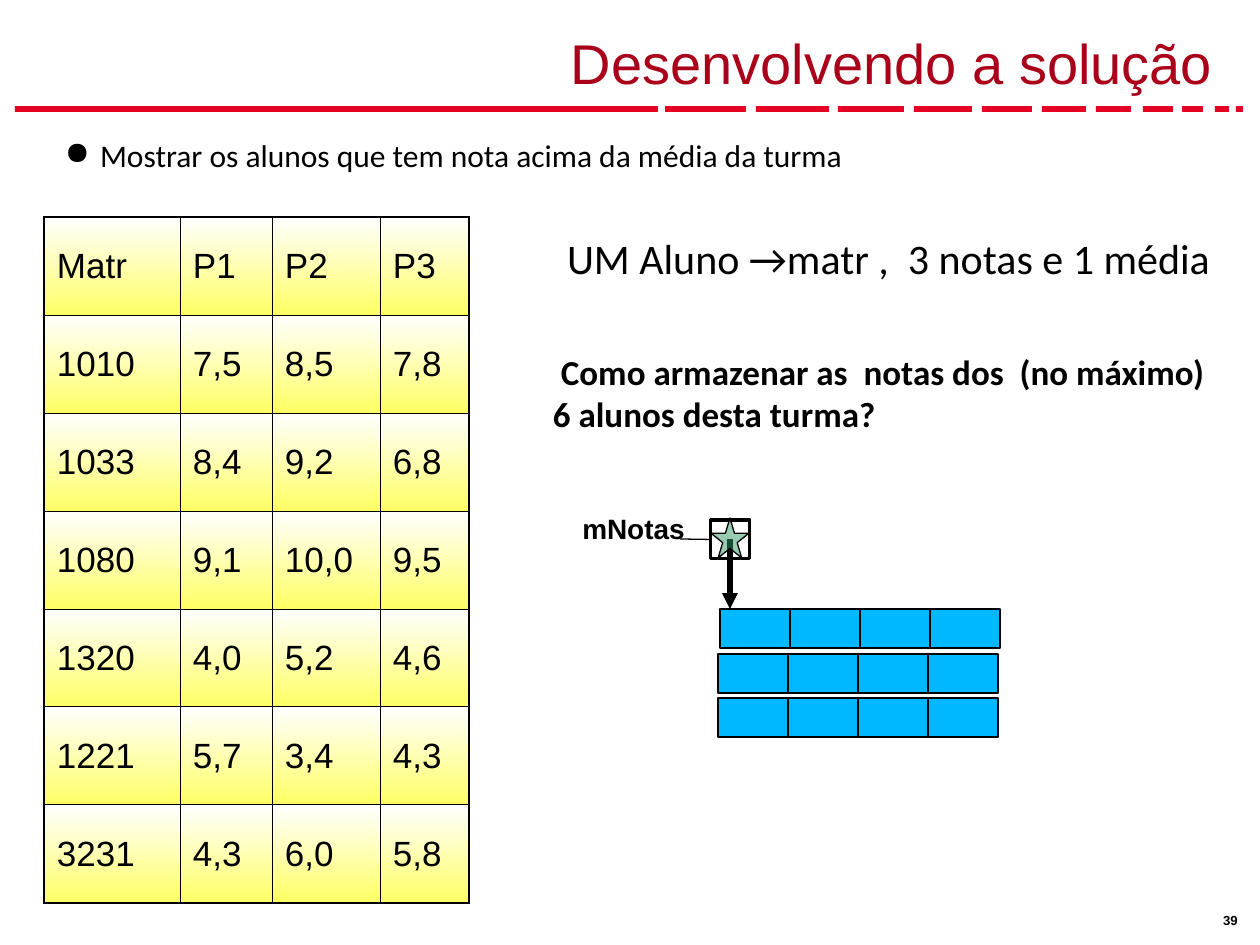
from lxml.etree import SubElement as Sub
from pptx import Presentation
from pptx.dml.color import RGBColor as Rgb
from pptx.enum.shapes import MSO_CONNECTOR as Link, MSO_SHAPE as Form
from pptx.enum.text import MSO_ANCHOR as Anchor, PP_ALIGN as Align
from pptx.oxml.ns import qn
from pptx.util import Emu, Pt

HUE = {"black": "000000", "red": "E40123", "wine": "AA001A", "white": "FFFFFF",
       "lemon": "FFFF66", "blue": "00B8FF", "green": "339966"}
DASHES = [(15, 643), (665, 81), (756, 73), (838, 66), (914, 58), (982, 50),
          (1042, 44), (1096, 35), (1143, 30), (1182, 21), (1215, 14), (1236, 7)]
GRADES = [("Matr", "P1", "P2", "P3"),
          ("1010", "7,5", "8,5", "7,8"),
          ("1033", "8,4", "9,2", "6,8"),
          ("1080", "9,1", "10,0", "9,5"),
          ("1320", "4,0", "5,2", "4,6"),
          ("1221", "5,7", "3,4", "4,3"),
          ("3231", "4,3", "6,0", "5,8")]
WIDTHS = (136, 92, 108, 89)


def px(n):
    return Emu(round(n * 914400 / 126))


def rgb(name):
    return Rgb.from_string(HUE[name])


def style(para, size, face, hue="black", bold=False):
    font = para.font
    font.size, font.name, font.bold = Pt(size), face, bold
    font.color.rgb = rgb(hue)


def inset(item, left, top, right, bottom):
    item.margin_left, item.margin_top = px(left), px(top)
    item.margin_right, item.margin_bottom = px(right), px(bottom)


def write(slide, box, text, size, face, hue="black", bold=False,
          align=Align.LEFT, pad=(13, 6), wrap=True):
    """Add a text box and return its frame."""
    frame = slide.shapes.add_textbox(*map(px, box)).text_frame
    frame.word_wrap = wrap
    inset(frame, *pad, *pad)
    para = frame.paragraphs[0]
    para.text, para.alignment = text, align
    style(para, size, face, hue, bold)
    return frame


def draw(slide, form, box, fill=None, line=None):
    shape = slide.shapes.add_shape(form, *map(px, box))
    shape.shadow.inherit = False
    if fill:
        shape.fill.solid()
        shape.fill.fore_color.rgb = rgb(fill)
    else:
        shape.fill.background()
    if line:
        shape.line.color.rgb = rgb("black")
        shape.line.width = Pt(line)
    else:
        shape.line.fill.background()
    return shape


def join(slide, ends, width):
    link = slide.shapes.add_connector(Link.STRAIGHT, *map(px, ends))
    link.line.color.rgb = rgb("black")
    link.line.width = Pt(width)
    Sub(link._element.spPr, qn("a:effectLst"))
    return link


def header(slide, x, y):
    write(slide, (x + 39, y + 10, 1187, 92), "Desenvolvendo a solução", 32,
          "Arial", "wine", align=Align.RIGHT).vertical_anchor = Anchor.BOTTOM
    for left, width in DASHES:
        draw(slide, Form.RECTANGLE, (x + left, y + 106, width, 6), "red")


def topic(slide, box):
    frame = write(slide, box, "", 18, "Calibri")
    para = frame.paragraphs[0]
    para.text = "Mostrar os alunos que tem nota acima da média da turma"
    props = para._p.get_or_add_pPr()
    props.set("marL", str(px(48)))
    props.set("indent", str(px(-35)))
    mark = Sub(props, qn("a:buChar"))
    mark.set("char", "●")
    props.insert(0, mark)


def border(cell, sides):
    """Rule the sides of a cell, given as (tag, is outer) pairs."""
    props = cell._tc.get_or_add_tcPr()
    for tag, outer in sides:
        line = Sub(props, qn(f"a:{tag}"), w=str(Pt(1.08 if outer else 0.45)))
        Sub(Sub(line, qn("a:solidFill")), qn("a:srgbClr"), val=HUE["black"])


def grades(slide, x, y, step):
    rows, cols = len(GRADES), len(WIDTHS)
    box = (x, y, sum(WIDTHS), rows * step)
    table = slide.shapes.add_table(rows, cols, *map(px, box)).table
    table.first_row = table.horz_banding = False
    for col, width in zip(table.columns, WIDTHS):
        col.width = px(width)
    for r, row in enumerate(GRADES):
        table.rows[r].height = px(step)
        for c, text in enumerate(row):
            cell = table.cell(r, c)
            border(cell, [("lnL", c == 0), ("lnR", c == cols - 1),
                          ("lnT", r == 0), ("lnB", r == rows - 1)])
            cell.fill.gradient()
            cell.fill.gradient_angle = 270
            for stop, hue in zip(cell.fill.gradient_stops, ("white", "lemon")):
                stop.color.rgb = rgb(hue)
            cell.vertical_anchor = Anchor.MIDDLE
            inset(cell, 13, 9, 13, 6)
            para = cell.text_frame.paragraphs[0]
            para.text, para.line_spacing = text, 0.95
            style(para, 20, "Arial")


def notes(slide, x, y):
    """Draw the variable mNotas pointing at its rows of cells."""
    write(slide, (x, y, 105, 34), "mNotas", 16, "Arial", bold=True,
          align=Align.CENTER, pad=(0, 0), wrap=False)
    box = draw(slide, Form.RECTANGLE, (x + 130, y + 8, 39, 39), line=1.75)
    lead = join(slide, (x + 99, y + 27, x + 130, y + 27), 0.75)
    lead.end_connect(box, 1)
    arrow = join(slide, (x + 149, y + 27, x + 149, y + 97), 3)
    Sub(arrow.line._get_or_add_ln(), qn("a:tailEnd"), type="triangle")
    star = draw(slide, Form.STAR_5_POINT, (x + 130, y + 6, 38, 40), "green", 0.75)
    color = star._element.spPr.find(qn("a:solidFill"))[0]
    Sub(color, qn("a:alpha"), val="51000")
    for left, top in ((139, 97), (137, 142), (137, 186)):
        for i in range(4):
            draw(slide, Form.RECTANGLE, (x + left + i * 70, y + top, 70, 39),
                 "blue", 0.75)


def main():
    deck = Presentation()
    deck.slide_width, deck.slide_height = px(1260), px(945)
    slide = deck.slides.add_slide(deck.slide_layouts[6])
    header(slide, 0, 0)
    topic(slide, (39, 130, 1192, 760))
    grades(slide, 44, 217, 98)
    write(slide, (554, 227, 686, 64), "UM Aluno →matr ,  3 notas e 1 média",
          24, "Calibri", wrap=False)
    notes(slide, 581, 512)
    write(slide, (540, 344, 696, 97),
          " Como armazenar as  notas dos  (no máximo) 6 alunos desta turma?",
          20, "Calibri", bold=True)
    write(slide, (1213, 907, 42, 25), "39", 7.5, "Arial", bold=True,
          pad=(10, 5), wrap=False)
    deck.save("out.pptx")


if __name__ == "__main__":
    main()
